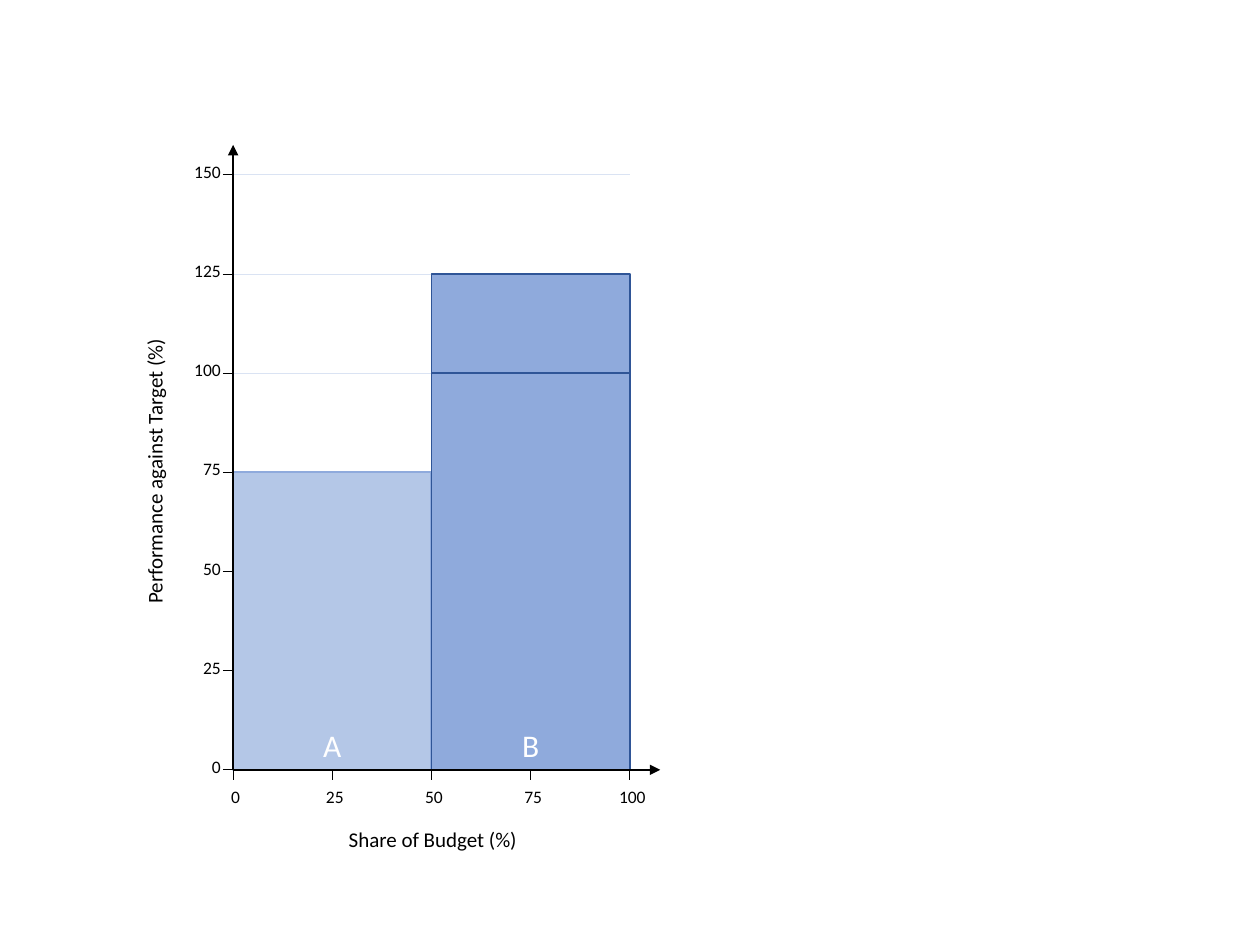
"""Build a slide with a bar diagram of performance against share of budget."""
import pptx
import pptx.dml.color
import pptx.enum.shapes
import pptx.enum.text
import pptx.oxml
import pptx.oxml.ns
import pptx.util

Inches = pptx.util.Inches
Pt = pptx.util.Pt
color = pptx.dml.color.RGBColor.from_string
Align = pptx.enum.text.PP_ALIGN

LEFT, BASE, STEP, TICK = 1.85, 6.11, 0.787, 0.08

deck = pptx.Presentation()
deck.slide_width, deck.slide_height = Inches(10), Inches(7.5)
slide = deck.slides.add_slide(deck.slide_layouts[6])


def add_line(x1, y1, x2, y2, hex_color="000000", width=0.5, arrow=False):
    """Draw a straight line, with an optional arrowhead at its end."""
    line = slide.shapes.add_connector(
        pptx.enum.shapes.MSO_CONNECTOR.STRAIGHT,
        Inches(x1), Inches(y1), Inches(x2), Inches(y2))
    line.line.color.rgb = color(hex_color)
    line.line.width = Pt(width)
    properties = line._element.spPr
    if arrow:
        pptx.oxml.ns.qn("a:tailEnd")
        head = line.line._get_or_add_ln().makeelement(pptx.oxml.ns.qn("a:tailEnd"), {"type": "triangle"})
        line.line._get_or_add_ln().append(head)
    properties.append(properties.makeelement(pptx.oxml.ns.qn("a:effectLst"), {}))


def add_label(text, left, top, width, height, size, align, rotation=0):
    """Place one line of black text."""
    box = slide.shapes.add_textbox(Inches(left), Inches(top), Inches(width), Inches(height))
    box.rotation = rotation
    box.text_frame.word_wrap = False
    box.text_frame.auto_size = pptx.enum.text.MSO_AUTO_SIZE.SHAPE_TO_FIT_TEXT
    box.text_frame.text = text
    para = box.text_frame.paragraphs[0]
    para.alignment = align
    font = para.runs[0].font
    font.name, font.size = "Calibri", Pt(size)
    font.color.rgb = color("000000")


for step in range(1, 7):
    y = BASE - step * STEP
    add_line(LEFT, y, LEFT + 4 * STEP, y, "DAE3F3")

bars = [
    ("A", 0, 0, 3, "B4C7E7", "8FAADC"),
    ("B", 2, 0, 4, "8FAADC", "2F5597"),
    ("", 2, 4, 5, "8FAADC", "2F5597"),
]
for name, start, bottom, top, fill, outline in bars:
    bar = slide.shapes.add_shape(
        pptx.enum.shapes.MSO_SHAPE.RECTANGLE,
        Inches(LEFT + start * STEP), Inches(BASE - top * STEP),
        Inches(2 * STEP), Inches((top - bottom) * STEP))
    bar.shadow.inherit = False
    bar.fill.solid()
    bar.fill.fore_color.rgb = color(fill)
    bar.line.color.rgb = color(outline)
    bar.line.width = Pt(1)
    if name:
        bar.text_frame.text = name
        bar.text_frame.vertical_anchor = pptx.enum.text.MSO_ANCHOR.BOTTOM
        para = bar.text_frame.paragraphs[0]
        para.alignment = Align.CENTER
        font = para.runs[0].font
        font.name, font.size = "Calibri", Pt(18)
        font.color.rgb = color("FFFFFF")

for step in range(7):
    text = str(25 * step)
    width = 0.21 + 0.07 * len(text)
    y = BASE - step * STEP
    add_line(LEFT - TICK, y, LEFT, y)
    add_label(text, LEFT - width, y - 0.16, width, 0.27, 10, Align.RIGHT)
    if step <= 4:
        x = LEFT + step * STEP
        add_line(x, BASE, x, BASE + TICK)
        add_label(text, x + 0.02 - width / 2, BASE + TICK, width, 0.27, 10, Align.CENTER)

add_line(LEFT, BASE, 5.24, BASE, width=1, arrow=True)
add_line(LEFT, BASE, LEFT, 1.15, width=1, arrow=True)
add_label("Share of Budget (%)", 2.66, 6.51, 1.55, 0.3, 12, Align.CENTER)
add_label("Performance against Target (%)", 0.06, 3.59, 2.33, 0.3, 12, Align.CENTER, 270)

deck.save("out.pptx")
